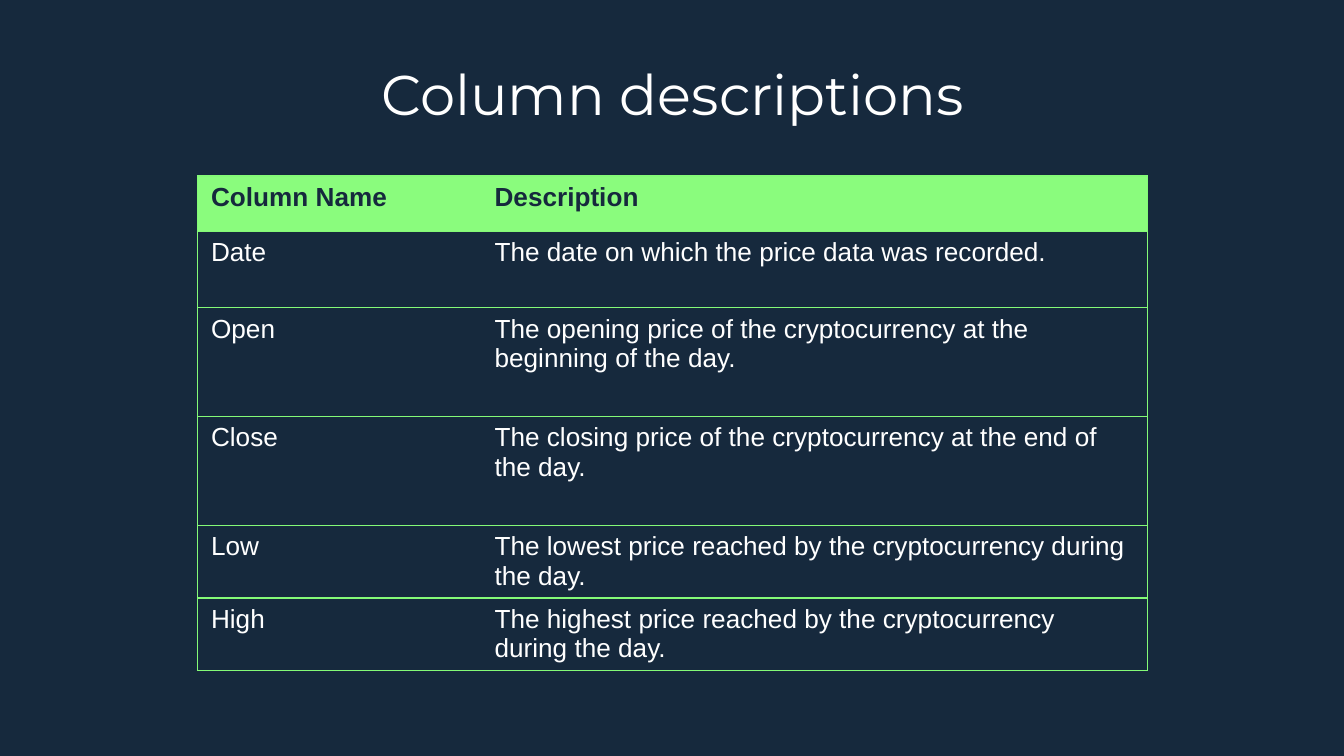
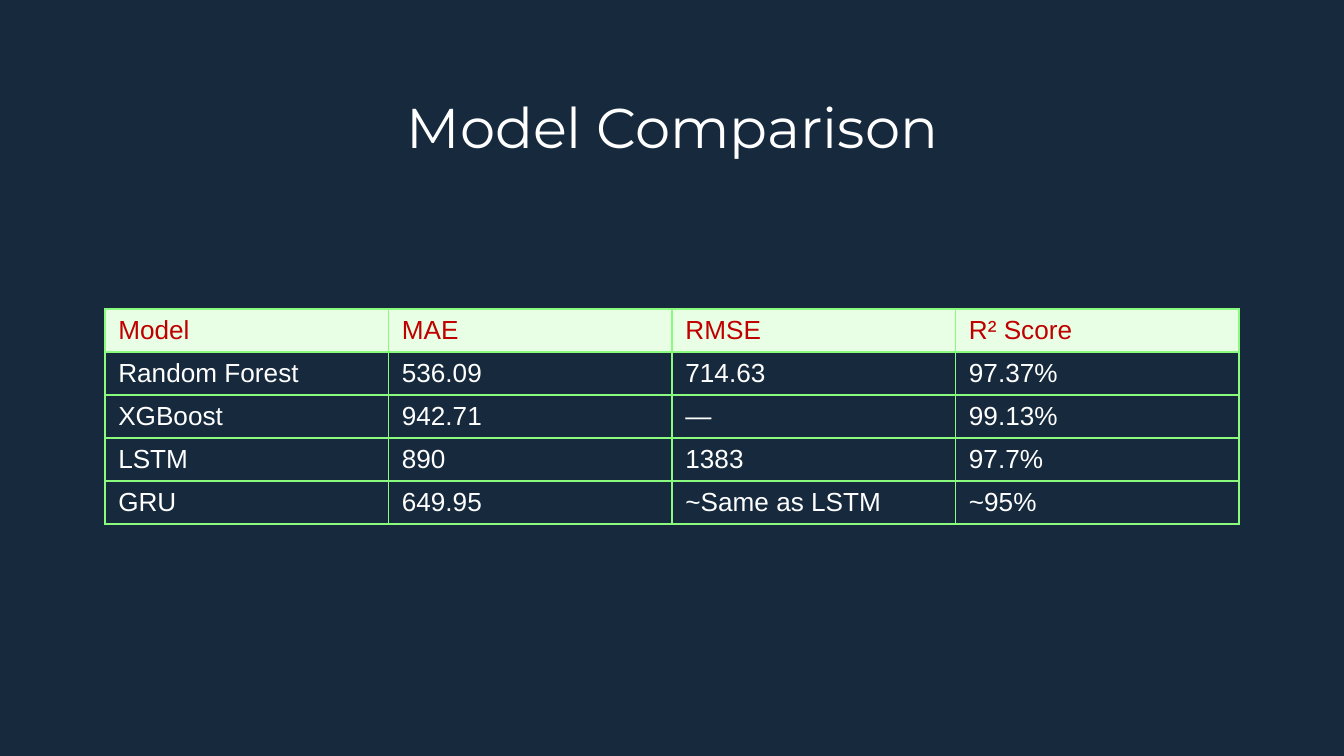
from dataclasses import dataclass

from lxml import etree
from pptx import Presentation
from pptx import util as u
from pptx.dml.color import RGBColor
from pptx.enum import text
from pptx.oxml import ns


@dataclass(frozen=True)
class Theme:
    navy: str = "16293D"
    white: str = "FFFFFF"
    green: str = "84FA77"
    bright: str = "8AFC7D"
    mint: str = "E8FEE5"
    red: str = "C00000"
    title_font: str = "Montserrat"
    body_font: str = "Arial"
    title_size: int = 30
    body_size: int = 14
    plain_table: str = "{2D5ABB26-0587-4C30-8999-92F81FD0307C}"


class DeckBuilder:
    def __init__(self, theme):
        self.theme = theme
        self.deck = Presentation()
        self.deck.slide_width = u.Inches(10)
        self.deck.slide_height = u.Inches(10 * 9 / 16)
        fill = self.deck.slide_master.background.fill
        fill.solid()
        fill.fore_color.rgb = RGBColor.from_string(theme.navy)
        self.page = None

    def add_page(self, title, top):
        self.page = self.deck.slides.add_slide(self.deck.slide_layouts[5])
        box = self.page.shapes.title
        box.left, box.top = u.Inches(0.79), u.Inches(top)
        box.width, box.height = u.Inches(8.43), u.Inches(0.63)
        frame = box.text_frame
        frame.text = title
        frame.word_wrap = True
        frame.auto_size = text.MSO_AUTO_SIZE.NONE
        frame.vertical_anchor = text.MSO_ANCHOR.TOP
        frame.margin_left = frame.margin_right = u.Inches(0.1)
        frame.margin_top = frame.margin_bottom = u.Inches(0.1)
        para = frame.paragraphs[0]
        para.alignment = text.PP_ALIGN.CENTER
        self.set_font(para, self.theme.title_font, self.theme.title_size, self.theme.white)

    def set_font(self, para, name, size, color, bold=False):
        para.font.name = name
        para.font.size = u.Pt(size)
        para.font.bold = bold
        para.font.color.rgb = RGBColor.from_string(color)

    def add_table(self, rows, left, top, widths, heights, header, edges, weight, anchor):
        shape = self.page.shapes.add_table(
            len(rows), len(widths), u.Inches(left), u.Inches(top),
            u.Inches(sum(widths)), u.Inches(sum(heights)))
        table = shape.table
        table.first_row = table.horz_banding = False
        table._tbl.tblPr.find(ns.qn("a:tableStyleId")).text = self.theme.plain_table
        for column, width in zip(table.columns, widths):
            column.width = u.Inches(width)
        for r, (row, height) in enumerate(zip(rows, heights)):
            table.rows[r].height = u.Inches(height)
            for c, value in enumerate(row):
                cell = table.cell(r, c)
                cell.text = value
                cell.vertical_anchor = anchor
                fill, color, bold = header if r == 0 else (None, self.theme.white, False)
                self.set_font(cell.text_frame.paragraphs[0], self.theme.body_font,
                              self.theme.body_size, color, bold)
                if fill:
                    cell.fill.solid()
                    cell.fill.fore_color.rgb = RGBColor.from_string(fill)
                else:
                    cell.fill.background()
                self.set_borders(cell, edges(c), weight)

    def set_borders(self, cell, colors, weight):
        properties = cell._tc.get_or_add_tcPr()
        sides = [(side, color) for side, color in zip("LRTB", colors) if color]
        for index, (side, color) in enumerate(sides):
            line = etree.Element(ns.qn("a:ln" + side), w=str(u.Pt(weight)))
            fill = etree.SubElement(line, ns.qn("a:solidFill"))
            etree.SubElement(fill, ns.qn("a:srgbClr"), val=color)
            properties.insert(index, line)


def add_column_descriptions(builder):
    theme = builder.theme
    rows = [
        ("Column Name", "Description"),
        ("Date", "The date on which the price data was recorded."),
        ("Open", "The opening price of the cryptocurrency at the beginning of the day."),
        ("Close", "The closing price of the cryptocurrency at the end of the day."),
        ("Low", "The lowest price reached by the cryptocurrency during the day."),
        ("High", "The highest price reached by the cryptocurrency during the day."),
    ]

    def edges(column):
        sides = (theme.green, None) if column == 0 else (None, theme.green)
        return (*sides, theme.green, theme.green)

    builder.add_page("Column descriptions", 0.34)
    builder.add_table(rows, 1.47, 1.31, [2.11, 4.96], [0.41, 0.57, 0.81, 0.81, 0.54, 0.54],
                      (theme.bright, theme.navy, True), edges, 0.75, text.MSO_ANCHOR.TOP)


def add_model_comparison(builder):
    theme = builder.theme
    rows = [
        ("Model", "MAE", "RMSE", "R² Score"),
        ("Random Forest", "536.09", "714.63", "97.37%"),
        ("XGBoost", "942.71", "—", "99.13%"),
        ("LSTM", "890", "1383", "97.7%"),
        ("GRU", "649.95", "~Same as LSTM", "~95%"),
    ]
    builder.add_page("Model Comparison", 0.59)
    builder.add_table(rows, 0.78, 2.3, [2.11] * 4, [0.32] * len(rows),
                      (theme.mint, theme.red, False), lambda column: [theme.bright] * 4,
                      1, text.MSO_ANCHOR.MIDDLE)


def main():
    builder = DeckBuilder(Theme())
    add_column_descriptions(builder)
    add_model_comparison(builder)
    builder.deck.save("out.pptx")


if __name__ == "__main__":
    main()
